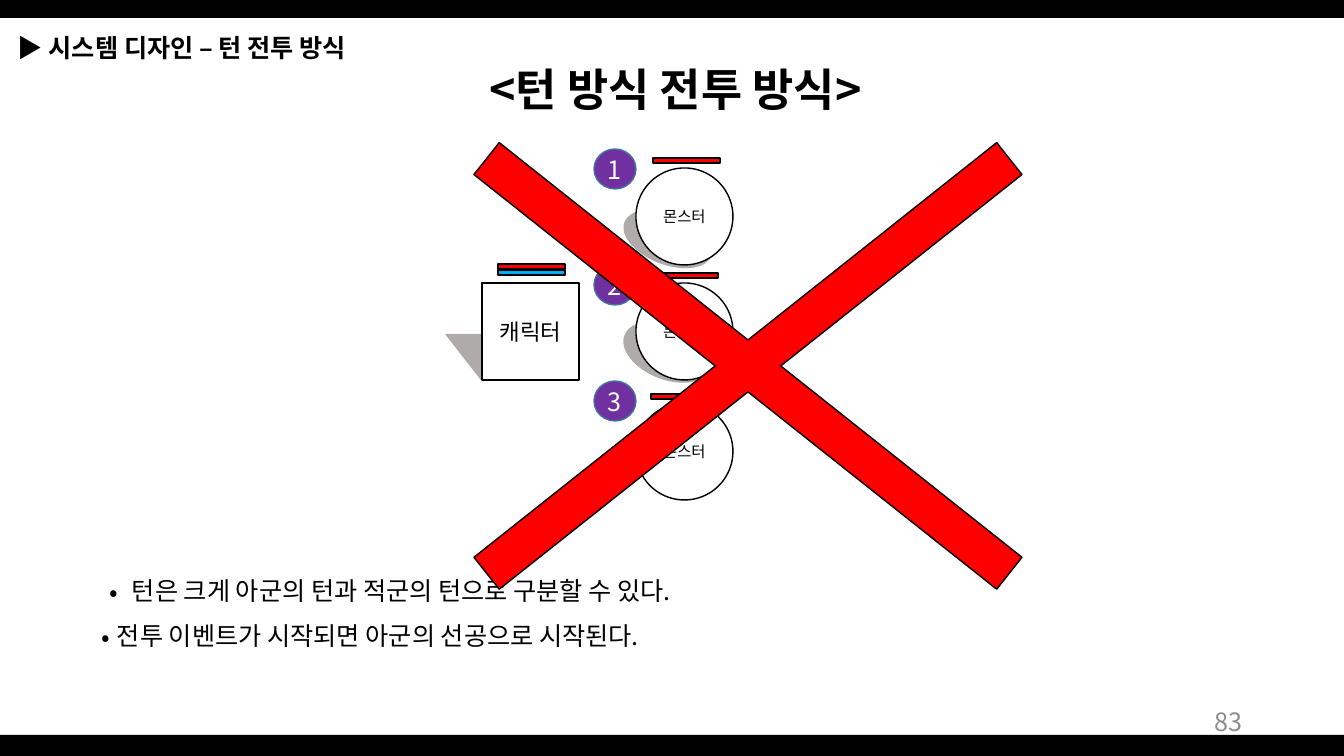
"""Build the turn-based battle slide."""
from dataclasses import dataclass

from lxml.etree import SubElement
from pptx import Presentation
from pptx.dml.color import RGBColor
from pptx.enum.shapes import MSO_SHAPE
from pptx.enum.text import MSO_ANCHOR, PP_ALIGN
from pptx.oxml.ns import qn
from pptx.util import Pt


@dataclass(frozen=True)
class Theme:
    font: str = "Noto Sans CJK KR"
    black: str = "000000"
    white: str = "FFFFFF"
    page_gray: str = "8C8C8C"
    shadow: str = "AFABAB"
    red: str = "FF0000"
    blue: str = "00B0F0"
    purple: str = "7030A0"
    badge_line: str = "43739E"
    title_size: int = 32
    body_size: int = 18
    character_size: int = 16
    monster_size: int = 11


THEME = Theme()
PX = 914400 / 100.8
WIDTH, HEIGHT = 1344, 756

HEADING = ["▶ ", "시스템 디자인 – 턴 전투 방식"]
TITLE = ["<", "턴 방식 전투 방식", ">"]
TITLE_SPACING = -300
PAGE_NUMBER = "83"
CHARACTER = "캐릭터"
MONSTER = "몬스터"
BULLETS = [
    ("턴은 크게 아군의 턴과 적군의 턴으로 구분할 수 있다.", 30, -22),
    ("전투 이벤트가 시작되면 아군의 선공으로 시작된다.", 15, -15),
]

BLACK_BARS = [(0, 735, WIDTH, 22), (0, 0, WIDTH, 18)]
MONSTER_SHADOWS = [(622, 325, 92, 54), (622, 214, 92, 50)]
SHADOW_TURN = 21.1
TOKEN = 97
MONSTER_LEFT = 636
MONSTER_TOPS = [168, 283, 403]
MONSTER_GAUGES = [(653, 158), (651, 273), (651, 394)]
CHARACTER_AT = (482, 283)
CHARACTER_GAUGES = [(498, 264, THEME.red), (498, 270, THEME.blue)]
GAUGE_SIZE = (67, 5)
BADGE_LEFT, BADGE_TOP, BADGE_PITCH = 594, 149, 116
BADGE_SIZE = (42, 40)


def px(length):
    return round(length * PX)


def color(value):
    return RGBColor.from_string(value)


def style(paragraph, size, ink, align=PP_ALIGN.LEFT):
    paragraph.alignment = align
    for span in paragraph.runs:
        span.font.name = THEME.font
        span.font.size = Pt(size)
        span.font.color.rgb = color(ink)
        east_asian = SubElement(span.font._element, qn("a:ea"))
        east_asian.set("typeface", THEME.font)


def add_shape(page, kind, area, fill, line=None, turn=0):
    shape = page.shapes.add_shape(kind, *map(px, area))
    shape.shadow.inherit = False
    shape.rotation = turn
    shape.fill.solid()
    shape.fill.fore_color.rgb = color(fill)
    if line:
        shape.line.color.rgb = color(line)
        shape.line.width = Pt(1)
    else:
        shape.line.fill.background()
    return shape


def label(shape, text, size, ink):
    frame = shape.text_frame
    frame.margin_left = frame.margin_right = 0
    frame.margin_top = frame.margin_bottom = 0
    frame.vertical_anchor = MSO_ANCHOR.MIDDLE
    frame.text = text
    style(frame.paragraphs[0], size, ink, PP_ALIGN.CENTER)


def add_text(page, area, spans, size, ink, align=PP_ALIGN.LEFT):
    box = page.shapes.add_textbox(*map(px, area))
    box.text_frame.word_wrap = True
    para = box.text_frame.paragraphs[0]
    for text in spans:
        para.add_run().text = text
    style(para, size, ink, align)
    return box


def add_bullets(page, area):
    frame = page.shapes.add_textbox(*map(px, area)).text_frame
    frame.word_wrap = True
    for index, (text, margin, indent) in enumerate(BULLETS):
        para = frame.add_paragraph() if index else frame.paragraphs[0]
        para.text = text
        para.line_spacing = 1.5
        properties = para._p.get_or_add_pPr()
        properties.set("marL", str(px(margin)))
        properties.set("indent", str(px(indent)))
        SubElement(properties, qn("a:buFont")).set("typeface", THEME.font)
        SubElement(properties, qn("a:buChar")).set("char", "•")
        style(para, THEME.body_size, THEME.black)


def add_texts(page):
    title = add_text(page, (332, 57, 687, 65), TITLE, THEME.title_size,
                     THEME.black, PP_ALIGN.CENTER)
    runs = title.text_frame.paragraphs[0].runs
    for span in runs:
        span.font.bold = True
    for span in (runs[0], runs[-1]):
        span.font._element.set("spc", str(TITLE_SPACING))
    number = add_text(page, (950, 701, 302, 40), [PAGE_NUMBER],
                      THEME.body_size, THEME.page_gray, PP_ALIGN.RIGHT)
    number.text_frame.vertical_anchor = MSO_ANCHOR.MIDDLE
    add_bullets(page, (92, 555, 697, 102))
    heading = add_text(page, (8, 27, 420, 40), HEADING, THEME.body_size,
                       THEME.black)
    heading.text_frame.paragraphs[0].runs[1].font.bold = True


def add_battle(page):
    triangle = add_shape(page, MSO_SHAPE.ISOSCELES_TRIANGLE,
                         (456, 306, 73, 57), THEME.shadow, THEME.shadow, 322)
    triangle.adjustments[0] = 0
    for area in MONSTER_SHADOWS:
        add_shape(page, MSO_SHAPE.OVAL, area, THEME.shadow, THEME.shadow,
                  SHADOW_TURN)
    for top in MONSTER_TOPS:
        monster = add_shape(page, MSO_SHAPE.OVAL,
                            (MONSTER_LEFT, top, TOKEN, TOKEN),
                            THEME.white, THEME.black)
        label(monster, MONSTER, THEME.monster_size, THEME.black)
    character = add_shape(page, MSO_SHAPE.RECTANGLE,
                          (*CHARACTER_AT, TOKEN, TOKEN),
                          THEME.white, THEME.black)
    label(character, CHARACTER, THEME.character_size, THEME.black)
    gauges = [(*spot, THEME.red) for spot in MONSTER_GAUGES]
    for left, top, fill in gauges + CHARACTER_GAUGES:
        add_shape(page, MSO_SHAPE.RECTANGLE, (left, top, *GAUGE_SIZE), fill,
                  THEME.black)
    for index in range(len(MONSTER_TOPS)):
        top = BADGE_TOP + index * BADGE_PITCH
        badge = add_shape(page, MSO_SHAPE.OVAL, (BADGE_LEFT, top, *BADGE_SIZE),
                          THEME.purple, THEME.badge_line)
        label(badge, str(index + 1), THEME.body_size, THEME.white)
    cross = add_shape(page, MSO_SHAPE.MATH_MULTIPLY, (245, -33, 1006, 798),
                      THEME.red, THEME.black)
    cross.adjustments[0] = 0.051


def main():
    deck = Presentation()
    deck.slide_width, deck.slide_height = px(WIDTH), px(HEIGHT)
    page = deck.slides.add_slide(deck.slide_layouts[6])
    for area in BLACK_BARS:
        add_shape(page, MSO_SHAPE.RECTANGLE, area, THEME.black)
    add_texts(page)
    add_battle(page)
    deck.save("out.pptx")


if __name__ == "__main__":
    main()
